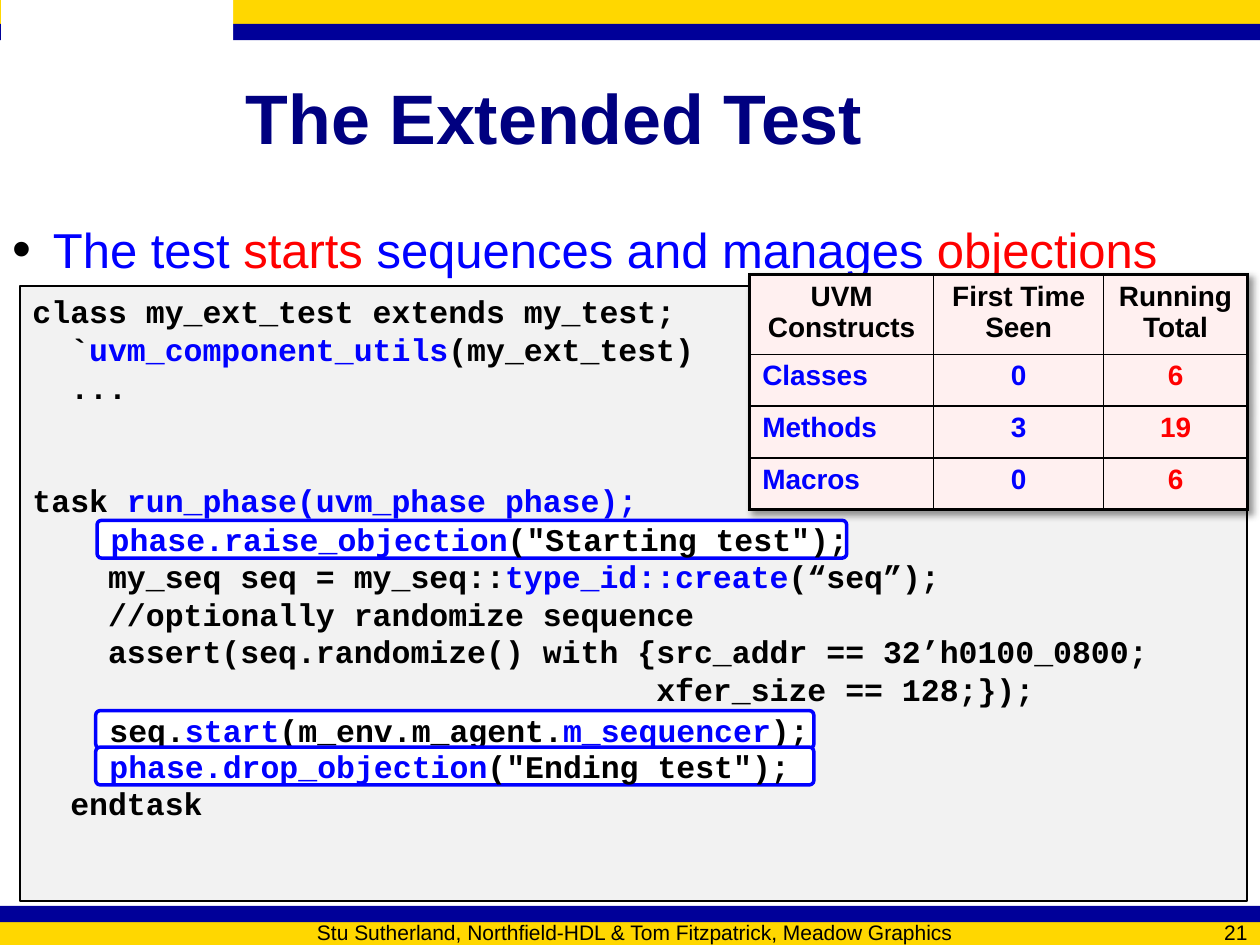
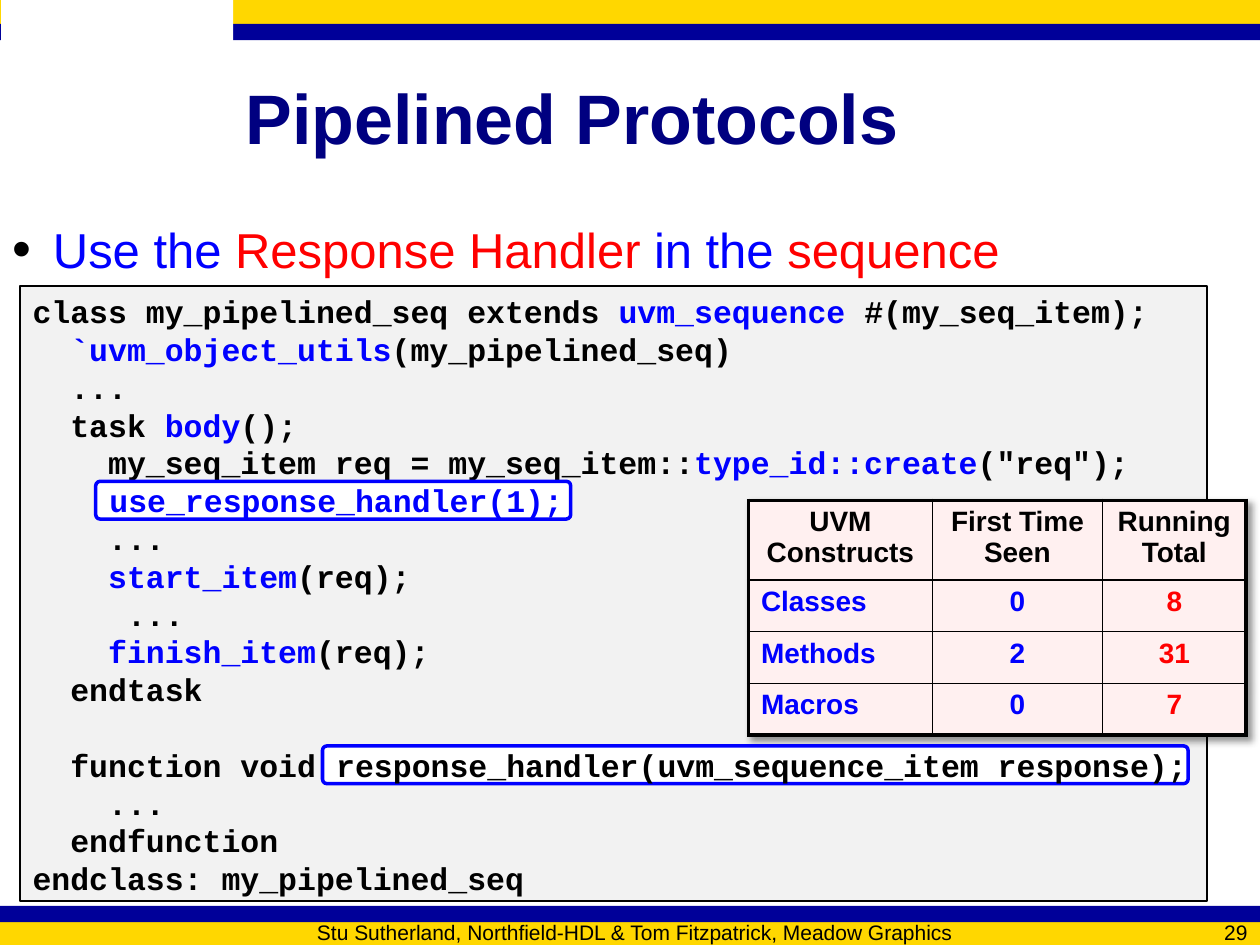
from lxml import etree
from pptx import Presentation
from pptx.dml.color import RGBColor
from pptx.enum.shapes import MSO_SHAPE as Shape
from pptx.enum.text import MSO_ANCHOR as Anchor, MSO_AUTO_SIZE as AutoSize, PP_ALIGN as Align
from pptx.oxml import parse_xml
from pptx.oxml.ns import qn
from pptx.util import Inches, Pt

COLORS = {
    "gold": "FFD700", "navy": "000099", "title": "000080", "white": "FFFFFF",
    "black": "000000", "blue": "0000FF", "red": "FF0000",
    "code": "F2F2F2", "table": "FFF0F0",
}
SANS, MONO = "Arial", "Courier New"
CODE_LINE = 21.6  # line pitch of 18 pt code, in points
FOOTER = "Stu Sutherland, Northfield-HDL & Tom Fitzpatrick, Meadow Graphics"
DRAWING_NS = 'xmlns:a="http://schemas.openxmlformats.org/drawingml/2006/main"'

# In marked text, "|" switches between the plain and the accent colour.
EXTENDED_TEST_CODE = """\
class my_ext_test extends my_test;
  `|uvm_component_utils|(my_ext_test)
  ...


task |run_phase(uvm_phase phase);|

    my_seq seq = my_seq::|type_id::create|(“seq”);
    //optionally randomize sequence
    assert(seq.randomize() with {src_addr == 32’h0100_0800;
                                 xfer_size == 128;});


  endtask"""

PIPELINED_CODE = """\
class my_pipelined_seq extends |uvm_sequence| #(my_seq_item);
  |`uvm_object_utils|(my_pipelined_seq)
  ...
  task |body|();
    my_seq_item req = my_seq_item::|type_id::create|("req");

    ...
    |start_item|(req);
     ...
    |finish_item|(req);
  endtask

  function void
    ...
  endfunction
endclass: my_pipelined_seq"""


def rgb(name):
    return RGBColor.from_string(COLORS[name])


def inches(box):
    return [Inches(length) for length in box]


def style(font, face, size, color, bold=False):
    font.name, font.size, font.bold = face, Pt(size), bold
    font.color.rgb = rgb(color)


def add_marked(paragraph, marked, face, size, plain, accent, bold=False):
    for position, part in enumerate(marked.split("|")):
        if part:
            run = paragraph.add_run()
            run.text = part
            style(run.font, face, size, accent if position % 2 else plain, bold)


def add_panel(slide, kind, box, fill, line=None, width=1):
    panel = slide.shapes.add_shape(kind, *inches(box))
    panel.shadow.inherit = False
    panel.fill.solid()
    panel.fill.fore_color.rgb = rgb(fill)
    if line:
        panel.line.color.rgb = rgb(line)
        panel.line.width = Pt(width)
    else:
        panel.line.fill.background()
    return panel


def add_footer_text(slide, box, text, align):
    frame = slide.shapes.add_textbox(*inches(box)).text_frame
    frame.word_wrap = True
    frame.vertical_anchor = Anchor.MIDDLE
    frame.text = text
    frame.paragraphs[0].alignment = align
    style(frame.paragraphs[0].runs[0].font, SANS, 12, "black")


def add_frame(slide, number):
    """Bands at the top and bottom, corner block and footer."""
    for top, height, color in [(0, 0.19, "gold"), (0.19, 0.13, "navy"),
                               (7.31, 0.19, "gold"), (7.19, 0.13, "navy")]:
        add_panel(slide, Shape.RECTANGLE, (0, top, 10, height), color)
    add_panel(slide, Shape.RECTANGLE, (0.01, 0, 1.84, 1.08), "white")
    add_footer_text(slide, (1.25, 7.31, 7.58, 0.17), FOOTER, Align.CENTER)
    add_footer_text(slide, (9, 7.31, 1, 0.17), str(number), Align.RIGHT)


def place(placeholder, box):
    placeholder.left, placeholder.top, placeholder.width, placeholder.height = inches(box)
    placeholder.text_frame.auto_size = AutoSize.NONE
    return placeholder.text_frame


def fill_title(slide, title):
    frame = place(slide.shapes.title, (1.85, 0.3, 8, 1.25))
    frame.vertical_anchor = Anchor.MIDDLE
    frame.text = title
    frame.paragraphs[0].alignment = Align.LEFT
    style(frame.paragraphs[0].runs[0].font, SANS, 40, "title", True)


def fill_message(slide, box, message):
    paragraph = place(slide.placeholders[1], box).paragraphs[0]
    props = paragraph._p.get_or_add_pPr()
    props.set("marL", str(Inches(0.32)))
    props.set("indent", str(-Inches(0.32)))
    color = etree.SubElement(props, qn("a:buClr"))
    etree.SubElement(color, qn("a:srgbClr"), val=COLORS["black"])
    etree.SubElement(props, qn("a:buSzPct"), val="110000")
    etree.SubElement(props, qn("a:buFont"), typeface=SANS)
    etree.SubElement(props, qn("a:buChar"), char="•")
    paragraph.space_before = Pt(0)
    add_marked(paragraph, message, SANS, 28, "blue", "red")


def write_code(frame, code):
    """One paragraph per code line; empty lines become space before the next."""
    frame.word_wrap = False
    paragraph, gap = None, 0
    for line in code.split("\n"):
        if not line:
            gap += CODE_LINE
            continue
        paragraph = frame.add_paragraph() if paragraph else frame.paragraphs[0]
        paragraph.alignment = Align.LEFT
        paragraph.line_spacing = Pt(CODE_LINE)
        if gap:
            paragraph.space_before = Pt(gap)
        add_marked(paragraph, line, MONO, 18, "black", "blue", True)
        gap = 0


def add_code(slide, box, code):
    frame = add_panel(slide, Shape.RECTANGLE, box, "code", "black").text_frame
    frame.vertical_anchor = Anchor.TOP
    write_code(frame, code)


def add_highlight(slide, left, top, width, code):
    box = (left, top, width, 0.3)
    callout = add_panel(slide, Shape.ROUNDED_RECTANGLE, box, "white", "blue", 2)
    callout.adjustments[0] = 0.12
    callout.text_frame.vertical_anchor = Anchor.MIDDLE
    write_code(callout.text_frame, code)


def set_borders(cell, outer_sides):
    """Thick lines on the table's edge, thin ones inside."""
    props = cell._tc.get_or_add_tcPr()
    for position, side in enumerate("LRTB"):
        width = 2.25 if side in outer_sides else 1
        props.insert(position, parse_xml(
            f'<a:ln{side} {DRAWING_NS} w="{Pt(width)}"><a:solidFill>'
            f'<a:srgbClr val="{COLORS["black"]}"/></a:solidFill></a:ln{side}>'))


def add_tally(slide, left, top, counts):
    """Table of UVM constructs: first time seen and running total."""
    rows = [("UVM Constructs", "First Time Seen", "Running Total"), *counts]
    widths, heights = (1.46, 1.35, 1.14), (0.6, 0.41, 0.41, 0.41)
    box = (left, top, sum(widths), sum(heights))
    table = slide.shapes.add_table(len(rows), len(widths), *inches(box)).table
    table.horz_banding = False
    table._tbl.tblPr.insert(0, parse_xml(
        f'<a:effectLst {DRAWING_NS}><a:outerShdw blurRad="50800" dist="38100" dir="2700000">'
        f'<a:srgbClr val="{COLORS["black"]}"><a:alpha val="40000"/></a:srgbClr>'
        '</a:outerShdw></a:effectLst>'))
    for column, width in zip(table.columns, widths):
        column.width = Inches(width)
    for row, height in zip(table.rows, heights):
        row.height = Inches(height)
    for r, entries in enumerate(rows):
        for c, entry in enumerate(entries):
            cell = table.cell(r, c)
            cell.text = entry
            cell.fill.solid()
            cell.fill.fore_color.rgb = rgb("table")
            paragraph = cell.text_frame.paragraphs[0]
            paragraph.alignment = Align.LEFT if r and c == 0 else Align.CENTER
            color = ("blue", "blue", "red")[c] if r else "black"
            style(paragraph.runs[0].font, SANS, 16, color, True)
            edges = {"L": c == 0, "R": c == len(widths) - 1,
                     "T": r == 0, "B": r == len(rows) - 1}
            set_borders(cell, [side for side, outer in edges.items() if outer])


def add_code_slide(deck, number, title, message, message_box, code, code_box):
    slide = deck.slides.add_slide(deck.slide_layouts[1])
    add_frame(slide, number)
    fill_title(slide, title)
    fill_message(slide, message_box, message)
    add_code(slide, code_box, code)
    return slide


def main():
    deck = Presentation()
    deck.slide_width, deck.slide_height = Inches(10), Inches(7.5)

    # The extended test
    slide = add_code_slide(
        deck, 21, "The Extended Test",
        "The test| starts| sequences and manages |objections", (0, 1.69, 9.81, 5.43),
        EXTENDED_TEST_CODE, (0.16, 2.27, 9.74, 4.88))
    add_highlight(slide, 0.77, 4.13, 5.95, '|phase.raise_objection|("Starting test");')
    add_highlight(slide, 0.76, 5.64, 5.7, "seq.|start|(m_env.m_agent.|m_sequencer|);")
    add_highlight(slide, 0.76, 5.93, 5.7, '|phase.drop_objection|("Ending test");')
    add_tally(slide, 5.95, 2.18, [("Classes", "0", "6"), ("Methods", "3", "19"),
                                  ("Macros", "0", "6")])

    # Pipelined protocols
    slide = add_code_slide(
        deck, 29, "Pipelined Protocols",
        "Use the |Response Handler |in the |sequence", (0, 1.69, 10, 0.58),
        PIPELINED_CODE, (0.16, 2.27, 9.42, 4.88))
    add_tally(slide, 5.94, 3.97, [("Classes", "0", "8"), ("Methods", "2", "31"),
                                  ("Macros", "0", "7")])
    add_highlight(slide, 0.76, 3.82, 3.77, "|use_response_handler(1);")
    add_highlight(slide, 2.56, 5.92, 6.87, "response_handler(uvm_sequence_item response);")

    deck.save("out.pptx")


if __name__ == "__main__":
    main()
